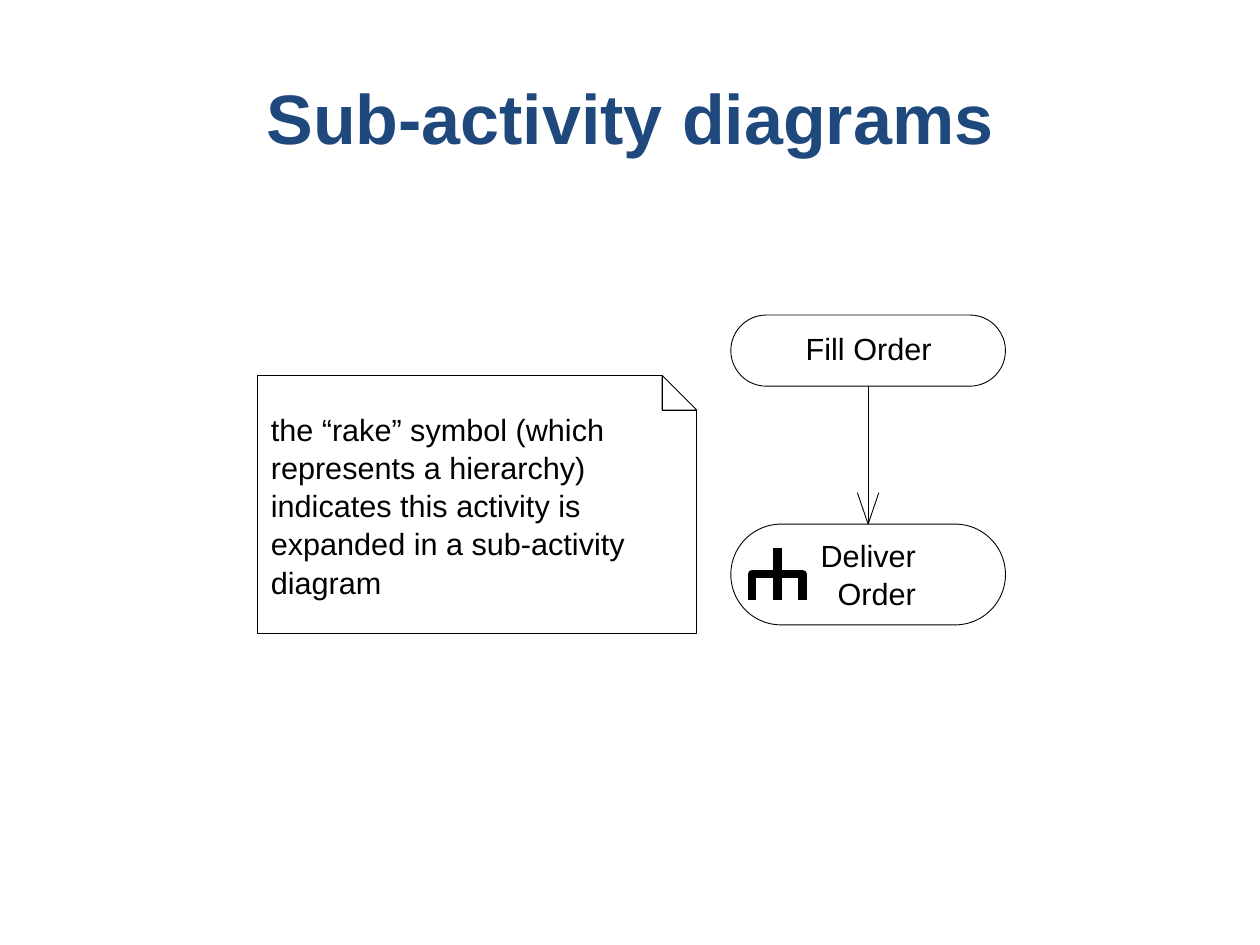
from lxml.etree import SubElement
from pptx import Presentation
from pptx.dml.color import RGBColor
from pptx.enum.shapes import MSO_CONNECTOR as CONN, MSO_SHAPE as SHAPE
from pptx.enum.text import PP_ALIGN as ALIGN
from pptx.oxml.ns import qn
from pptx.util import Inches, Pt

COLORS = {"title": "1F497D", "ink": "000000"}
CELL = 0.1
COLS, ROWS = 100, 75
THIN, THICK = 0.5, 4.75


def grid(*cells):
    return [Inches(c * CELL) for c in cells]


class Diagram:
    """Draws black line art and Arial text on a grid of 100 columns by 75 rows."""

    font = "Arial"

    def __init__(self, slide):
        self.s = slide

    def stroke(self, sp, weight):
        sp.line.color.rgb = RGBColor.from_string(COLORS["ink"])
        sp.line.width = Pt(weight)

    def text(self, box, text, size=17.5, align=ALIGN.LEFT, color="ink", bold=False, spacing=1.04):
        tf = self.s.shapes.add_textbox(*grid(*box)).text_frame
        tf.word_wrap = True
        tf.margin_left = tf.margin_right = tf.margin_top = tf.margin_bottom = 0
        tf.text = text
        p = tf.paragraphs[0]
        p.alignment, p.line_spacing = align, spacing
        font = p.runs[0].font
        font.name, font.size, font.bold = self.font, Pt(size), bold
        font.color.rgb = RGBColor.from_string(COLORS[color])

    def activity(self, box):
        sp = self.s.shapes.add_shape(SHAPE.ROUNDED_RECTANGLE, *grid(*box))
        sp.adjustments[0] = 0.5
        sp.shadow.inherit = False
        sp.fill.background()
        self.stroke(sp, THIN)
        return sp

    def outline(self, points, weight=THIN, close=False):
        start, *rest = [grid(*pt) for pt in points]
        fb = self.s.shapes.build_freeform(*start, scale=1.0)
        fb.add_line_segments(rest, close=close)
        sp = fb.convert_to_shape()
        sp.shadow.inherit = False
        sp.fill.background()
        self.stroke(sp, weight)

    def line(self, start, end, weight=THIN):
        cn = self.s.shapes.add_connector(CONN.STRAIGHT, *grid(*start, *end))
        self.stroke(cn, weight)
        SubElement(cn._element.spPr, qn("a:effectLst"))
        return cn

    def flow(self, source, target, x, top, bottom):
        cn = self.line((x, top), (x, bottom))
        cn.begin_connect(source, 2)
        cn.end_connect(target, 0)
        self.outline([(x - 0.85, bottom - 2.5), (x, bottom), (x + 0.85, bottom - 2.5)])

    def rake(self, x, top, half_width, prong):
        bar, foot = top + prong, top + 2 * prong
        left, right = x - half_width, x + half_width
        self.outline([(left, foot), (left, bar), (right, bar), (right, foot)], THICK)
        self.line((x, top), (x, foot), THICK)

    def note(self, left, top, width, height, fold):
        right, bottom = left + width, top + height
        inner, lower = right - fold, top + fold
        self.outline([(right, lower), (inner, lower), (inner, top), (left, top),
                      (left, bottom), (right, bottom), (right, lower)])
        self.outline([(right, lower), (inner, top), (inner, lower)], close=True)


def main():
    prs = Presentation()
    prs.slide_width, prs.slide_height = grid(COLS, ROWS)
    d = Diagram(prs.slides.add_slide(prs.slide_layouts[6]))

    d.text((20, 5.9, 60, 6.8), "Sub-activity diagrams", 40, ALIGN.CENTER, "title", True, 1.0)

    fill = d.activity((58, 25, 21.8, 5.65))
    d.text((63.8, 26.1, 10.3, 3), "Fill Order", align=ALIGN.CENTER)
    deliver = d.activity((58, 41.6, 21.8, 8))
    d.text((65, 42.5, 7.7, 6), "Deliver Order", align=ALIGN.RIGHT)
    d.flow(fill, deliver, 68.9, 30.65, 41.6)
    d.rake(61.7, 43.5, 2, 2.05)

    d.note(20.4, 29.8, 34.9, 20.5, 2.75)
    d.text((21.5, 32.5, 30, 14.7), "the “rake” symbol (which represents a hierarchy) "
           "indicates this activity is expanded in a sub-activity diagram")

    prs.save("out.pptx")


if __name__ == "__main__":
    main()
